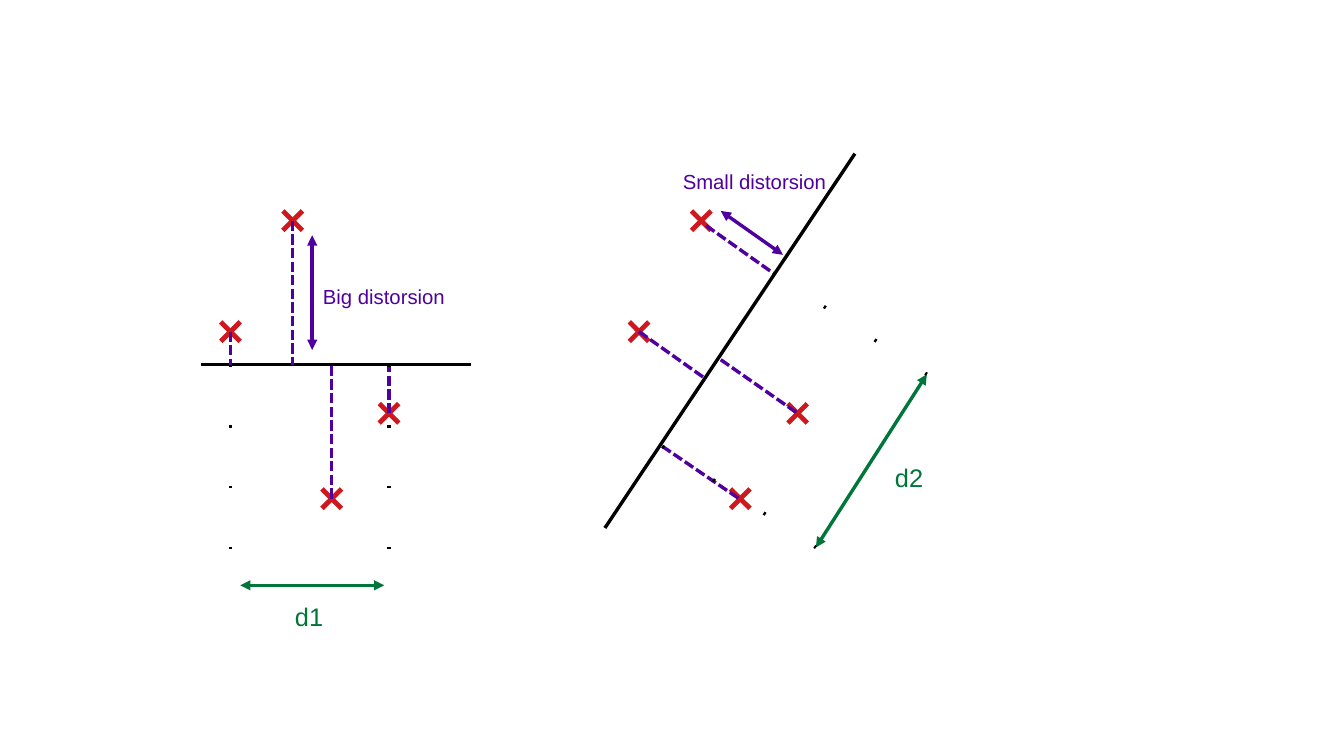
from lxml.etree import SubElement
from pptx import Presentation
from pptx.dml.color import RGBColor
from pptx.enum.dml import MSO_LINE
from pptx.enum.shapes import MSO_CONNECTOR
from pptx.enum.text import MSO_AUTO_SIZE
from pptx.oxml.ns import qn
from pptx.util import Inches, Pt

COLORS = {"axis": "000000", "point": "CE181E", "distortion": "4F009E", "spread": "00763B"}

prs = Presentation()
prs.slide_width, prs.slide_height = Inches(11.02), Inches(6.2)
slide = prs.slides.add_slide(prs.slide_layouts[6])


def add_line(start, end, color, width=0, style="solid"):
    """Draw a straight line; style is solid, dashed, dotted or arrows (both ends)."""
    line = slide.shapes.add_connector(
        MSO_CONNECTOR.STRAIGHT, *(Inches(value) for value in (*start, *end)))
    line.line.width = Pt(width)
    line.line.color.rgb = RGBColor.from_string(COLORS[color])
    properties = line._element.spPr
    outline = properties.find(qn("a:ln"))
    if style == "dashed":
        line.line.dash_style = MSO_LINE.SQUARE_DOT
        outline.find(qn("a:prstDash")).set("val", "sysDash")
    elif style == "dotted":
        dots = SubElement(outline, qn("a:custDash"))
        SubElement(dots, qn("a:ds"), d="70000", sp="1710000")
    elif style == "arrows":
        for end_tag in ("a:headEnd", "a:tailEnd"):
            SubElement(outline, qn(end_tag), type="triangle")
    SubElement(properties, qn("a:effectLst"))


def add_label(text, left, top, width, height, size, color):
    label = slide.shapes.add_textbox(*(Inches(value) for value in (left, top, width, height)))
    frame = label.text_frame
    frame.text = text
    frame.word_wrap = False
    frame.auto_size = MSO_AUTO_SIZE.SHAPE_TO_FIT_TEXT
    font = frame.paragraphs[0].runs[0].font
    font.name, font.size = "Arial", Pt(size)
    font.color.rgb = RGBColor.from_string(COLORS[color])


# The same four points, seen against a horizontal and a tilted axis
points = [(1.89, 2.72), (2.4, 1.81), (2.72, 4.09), (3.19, 3.39)]
arm = 0.08
projections = [
    (0, (1.65, 2.99), (3.86, 2.99)),
    (3.35, (4.96, 4.33), (7.01, 1.26)),
]
for shift, axis_start, axis_end in projections:
    add_line(axis_start, axis_end, "axis")
    for x, y in points:
        for slope in (1, -1):
            add_line((x + shift - arm, y - slope * arm),
                     (x + shift + arm, y + slope * arm), "point", 2.83)

# Dashed perpendiculars from each point to its axis
for x, y in points:
    add_line((x, y), (x, 2.99), "distortion", style="dashed")
for start, end in [
    ((5.79, 1.85), (6.34, 2.24)),
    ((5.24, 2.72), (5.79, 3.11)),
    ((5.91, 2.95), (6.54, 3.39)),
    ((5.43, 3.66), (6.06, 4.09)),
]:
    add_line(start, end, "distortion", style="dashed")

# Double arrows: distortion of a point, and spread along the axis
for start, end, color in [
    ((2.56, 1.93), (2.56, 2.87), "distortion"),
    ((5.91, 1.73), (6.42, 2.09), "distortion"),
    ((1.97, 4.8), (3.15, 4.8), "spread"),
    ((6.69, 4.49), (7.6, 3.07), "spread"),
]:
    add_line(start, end, color, style="arrows")

# Dotted guides from the outermost projections to the spread arrows
for start, end in [
    ((1.89, 2.99), (1.89, 4.8)),
    ((3.19, 2.99), (3.19, 4.8)),
    ((5.43, 3.66), (6.69, 4.49)),
    ((6.34, 2.24), (7.6, 3.07)),
]:
    add_line(start, end, "axis", style="dotted")

add_label("Big distorsion", 2.55, 2.28, 1.2, 0.29, 12, "distortion")
add_label("Small distorsion", 5.5, 1.34, 1.38, 0.29, 12, "distortion")
add_label("d1", 2.32, 4.88, 0.43, 0.33, 15, "spread")
add_label("d2", 7.24, 3.74, 0.43, 0.33, 15, "spread")

prs.save("out.pptx")
